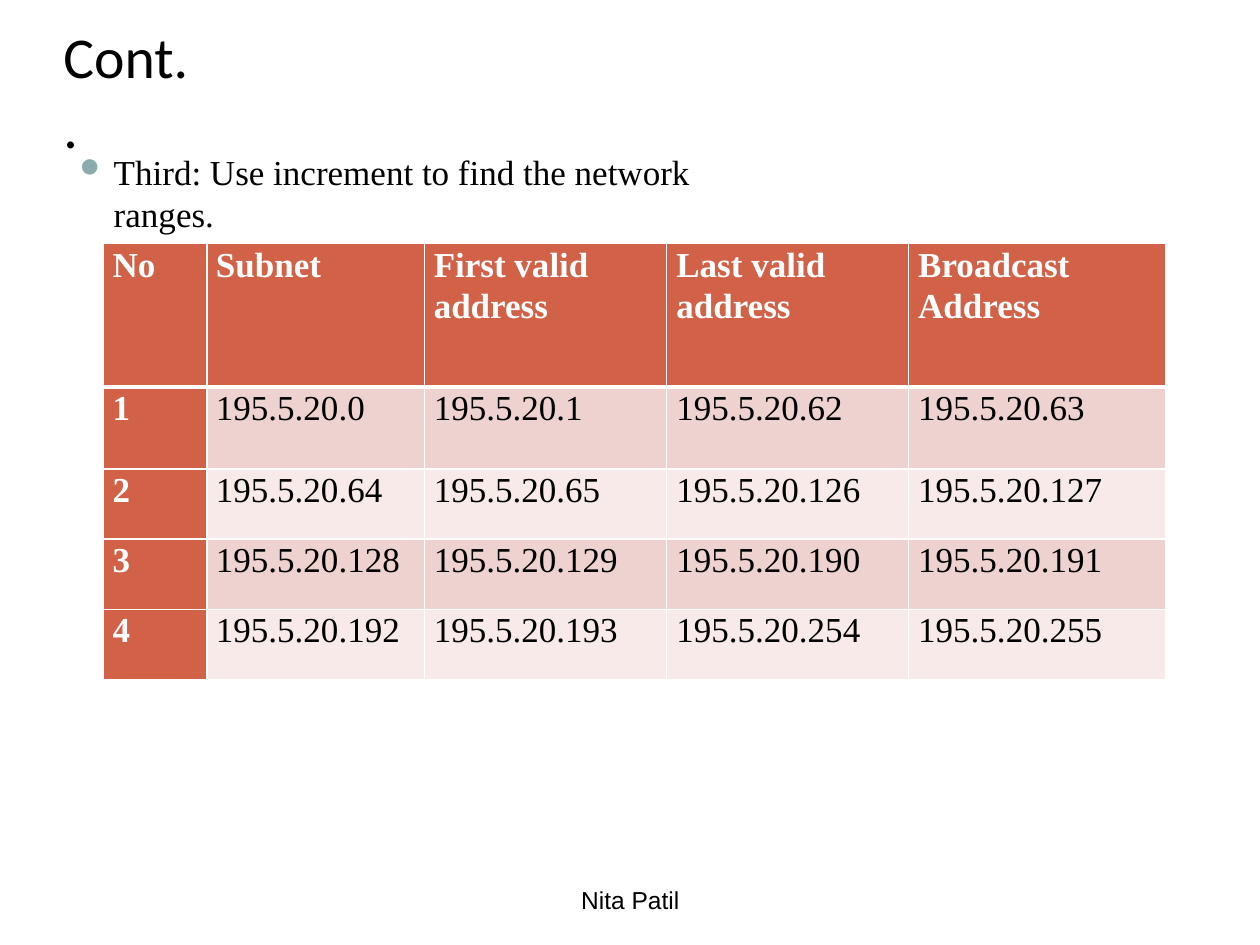
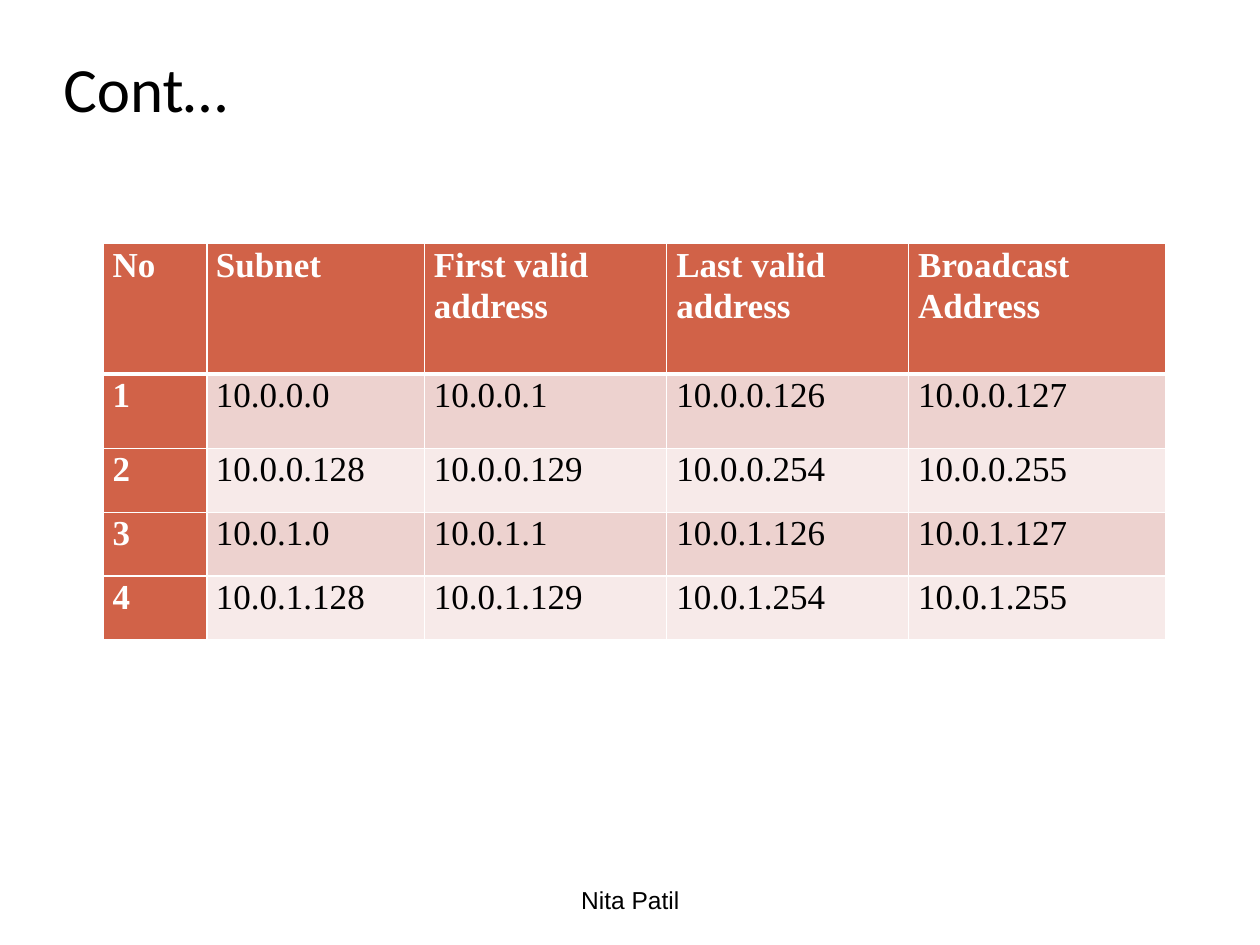
from dataclasses import dataclass

from lxml import etree
from pptx import Presentation
from pptx.dml.color import RGBColor
from pptx.enum.text import MSO_ANCHOR, MSO_AUTO_SIZE, PP_ALIGN
from pptx.oxml.ns import qn
from pptx.slide import Slide
from pptx.table import _Cell
from pptx.text.text import TextFrame, _Paragraph
from pptx.util import Pt

LEFT, CENTER = PP_ALIGN.LEFT, PP_ALIGN.CENTER
TOP, MIDDLE = MSO_ANCHOR.TOP, MSO_ANCHOR.MIDDLE
FIT_SHAPE, NO_FIT = MSO_AUTO_SIZE.SHAPE_TO_FIT_TEXT, MSO_AUTO_SIZE.NONE
BLANK_LAYOUT = 6


# Shared look
@dataclass(frozen=True)
class Theme:
    black: str = "000000"
    white: str = "FFFFFF"
    header: str = "D16248"
    band_dark: str = "EDD2CF"
    band_light: str = "F7EAE9"
    bullet: str = "8BACAD"
    title_font: str = "Calibri"
    body_font: str = "Times New Roman"
    footer_font: str = "Arial"
    body_size: float = 20
    footer_size: float = 14
    line_spacing: float = 23.4
    thin_border: float = 1
    thick_border: float = 3


THEME = Theme()


@dataclass(frozen=True)
class Box:
    left: float
    top: float
    width: float
    height: float


@dataclass(frozen=True)
class Title:
    text: str
    box: Box
    size: float


@dataclass(frozen=True)
class SubnetPlan:
    """Consecutive subnets of equal size inside a two-octet prefix."""
    prefix: str
    first_offset: int
    block_size: int
    header_height: float
    first_height: float
    row_height: float

    def address(self, offset: int) -> str:
        return f"{self.prefix}.{offset // 256}.{offset % 256}"

    def rows(self) -> list[list[str]]:
        rows = []
        for index in range(SUBNET_COUNT):
            start = self.first_offset + index * self.block_size
            offsets = (start, start + 1, start + self.block_size - 2, start + self.block_size - 1)
            rows.append([str(index + 1), *map(self.address, offsets)])
        return rows


SUBNET_COUNT = 4
HEADERS = ["No", "Subnet", "First valid\naddress", "Last valid\naddress", "Broadcast\nAddress"]
COLUMN_WIDTHS = [59, 124.5, 138.2, 138.2, 146.9]
CELL_INDENTS = [5.2, 5.2, 5.2, 5.6, 5.6]
TABLE_LEFT, TABLE_TOP = 59.2, 139.2
FOOTER_BOX = Box(246.2, 499.7, 228, 28.8)
BULLET_BOX = Box(42.5, 85, 414, 26)


# Text
def set_indent(paragraph: _Paragraph, left: float, first_line: float = 0) -> None:
    properties = paragraph._p.get_or_add_pPr()
    properties.set("marL", str(int(Pt(left))))
    properties.set("indent", str(int(Pt(first_line))))


def write_text(frame: TextFrame, text: str, *, font: str, size: float,
               color: str = THEME.black, bold: bool = False, align: PP_ALIGN = LEFT,
               indent: float = 0, first_line: float = 0, space_before: float = 0,
               first_spacing: float | None = None, next_space: float = 0) -> None:
    for index, line in enumerate(text.split("\n")):
        paragraph = frame.add_paragraph() if index else frame.paragraphs[0]
        paragraph.alignment = align
        paragraph.space_before = Pt(next_space if index else space_before)
        if first_spacing and index == 0:
            paragraph.line_spacing = Pt(first_spacing)
        set_indent(paragraph, indent, first_line)
        run = paragraph.add_run()
        run.text = line
        run.font.name = font
        run.font.size = Pt(size)
        run.font.bold = bold
        run.font.color.rgb = RGBColor.from_string(color)


def add_text_box(slide: Slide, box: Box, *, anchor: MSO_ANCHOR = TOP,
                 fit: MSO_AUTO_SIZE = FIT_SHAPE, side: float = 0,
                 top: float = 0.9, bottom: float = 0) -> TextFrame:
    shape = slide.shapes.add_textbox(Pt(box.left), Pt(box.top), Pt(box.width), Pt(box.height))
    frame = shape.text_frame
    frame.word_wrap = True
    frame.auto_size = fit
    frame.vertical_anchor = anchor
    frame.margin_left = frame.margin_right = Pt(side)
    frame.margin_top, frame.margin_bottom = Pt(top), Pt(bottom)
    return frame


def add_bullet(paragraph: _Paragraph, character: str) -> None:
    properties = paragraph._p.get_or_add_pPr()
    color = etree.SubElement(properties, qn("a:buClr"))
    etree.SubElement(color, qn("a:srgbClr"), val=THEME.bullet)
    etree.SubElement(properties, qn("a:buSzPct"), val="95000")
    etree.SubElement(properties, qn("a:buChar"), char=character)


# Slide parts
def add_title(slide: Slide, title: Title) -> None:
    frame = add_text_box(slide, title.box, anchor=MIDDLE)
    write_text(frame, title.text, font=THEME.title_font, size=title.size,
               indent=0.9, space_before=1.1)


def add_footer(slide: Slide) -> None:
    frame = add_text_box(slide, FOOTER_BOX, anchor=MIDDLE, fit=NO_FIT,
                         side=7.2, top=3.6, bottom=3.6)
    write_text(frame, "Nita Patil", font=THEME.footer_font, size=THEME.footer_size, align=CENTER)


def add_bullet_line(slide: Slide, text: str) -> None:
    frame = add_text_box(slide, BULLET_BOX)
    write_text(frame, text, font=THEME.body_font, size=THEME.body_size,
               indent=22.5, first_line=-21.6, space_before=1.1)
    add_bullet(frame.paragraphs[0], "⚫")


# Table
def set_borders(cell: _Cell, top: float, bottom: float) -> None:
    properties = cell._tc.get_or_add_tcPr()
    thin = THEME.thin_border
    for tag, width in (("lnL", thin), ("lnR", thin), ("lnT", top), ("lnB", bottom)):
        line = etree.SubElement(properties, qn(f"a:{tag}"), w=str(int(Pt(width))))
        fill = etree.SubElement(line, qn("a:solidFill"))
        etree.SubElement(fill, qn("a:srgbClr"), val=THEME.white)


def fill_cell(cell: _Cell, text: str, row: int, column: int) -> None:
    is_header = row == 0 or column == 0
    set_borders(cell,
                top=THEME.thick_border if row == 1 else THEME.thin_border,
                bottom=THEME.thick_border if row == 0 else THEME.thin_border)
    band = THEME.band_dark if row % 2 else THEME.band_light
    cell.fill.solid()
    cell.fill.fore_color.rgb = RGBColor.from_string(THEME.header if is_header else band)
    cell.margin_left = cell.margin_right = cell.margin_top = cell.margin_bottom = 0
    write_text(cell.text_frame, text, font=THEME.body_font, size=THEME.body_size,
               color=THEME.white if is_header else THEME.black, bold=is_header,
               indent=CELL_INDENTS[column], first_spacing=THEME.line_spacing, next_space=1.6)


def add_subnet_table(slide: Slide, plan: SubnetPlan) -> None:
    rows = [HEADERS, *plan.rows()]
    heights = [plan.header_height, plan.first_height] + [plan.row_height] * (SUBNET_COUNT - 1)
    table = slide.shapes.add_table(len(rows), len(HEADERS), Pt(TABLE_LEFT), Pt(TABLE_TOP),
                                   Pt(sum(COLUMN_WIDTHS)), Pt(sum(heights))).table
    table.horz_banding = False
    for column, width in enumerate(COLUMN_WIDTHS):
        table.columns[column].width = Pt(width)
    for row, (height, texts) in enumerate(zip(heights, rows)):
        table.rows[row].height = Pt(height)
        for column, text in enumerate(texts):
            fill_cell(table.cell(row, column), text, row, column)


# Slides
def add_slide(presentation: Presentation, title: Title, plan: SubnetPlan,
              bullet: str = "") -> None:
    slide = presentation.slides.add_slide(presentation.slide_layouts[BLANK_LAYOUT])
    add_title(slide, title)
    if bullet:
        add_bullet_line(slide, bullet)
    add_subnet_table(slide, plan)
    add_footer(slide)


def main() -> None:
    presentation = Presentation()
    presentation.slide_width, presentation.slide_height = Pt(720), Pt(540)
    add_slide(presentation,
              Title("Cont..", Box(35.3, 31, 80, 40.3), 33),
              SubnetPlan("195.5", 20 * 256, 64, 82, 46.7, 40.2),
              bullet="Third: Use increment to find the network ranges.")
    add_slide(presentation,
              Title("Cont…", Box(35.3, 26.6, 108, 45.4), 36),
              SubnetPlan("10.0", 0, 128, 74.6, 42.5, 36.5))
    presentation.save("out.pptx")


if __name__ == "__main__":
    main()
